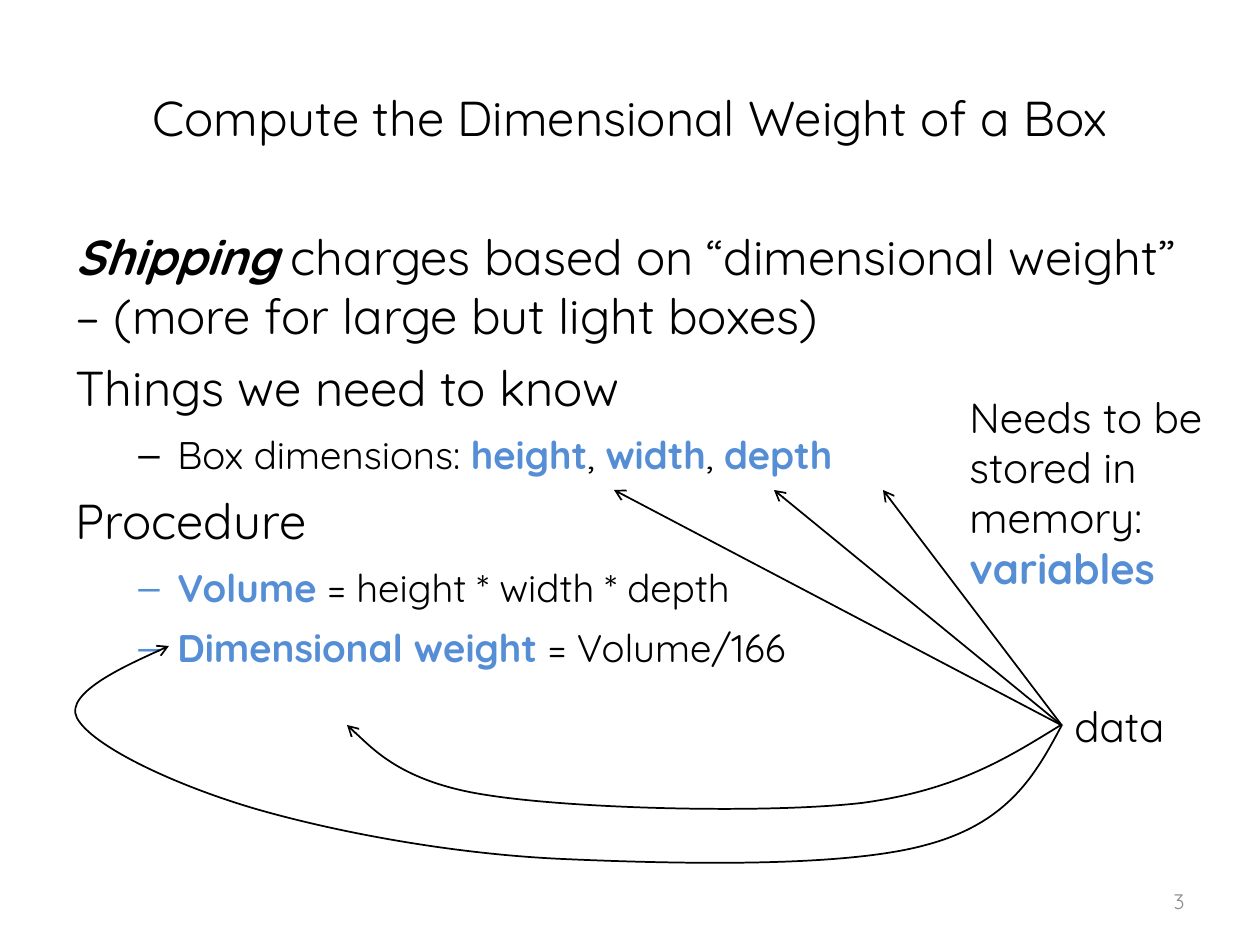
from dataclasses import dataclass

from lxml.etree import SubElement
from pptx import Presentation
from pptx.dml.color import RGBColor
from pptx.enum.shapes import MSO_CONNECTOR as Connector
from pptx.enum.text import MSO_ANCHOR as Anchor, MSO_AUTO_SIZE as AutoSize, PP_ALIGN as Align
from pptx.oxml.ns import qn
from pptx.util import Pt

EMU_PER_PX = 914400 / 126
FONT = "Quicksand"
BLACK, BLUE, GREY = "000000", "558ED5", "8C8C8C"
LEFT_SIDE = 1

Point = tuple[int, int]


@dataclass(frozen=True)
class Run:
    text: str
    color: str = BLACK
    bold: bool = False
    italic: bool = False


@dataclass(frozen=True)
class Para:
    runs: list[Run]
    size: int = 28
    dashed: bool = False
    before: int = 8


@dataclass(frozen=True)
class Curve:
    """A start point followed by cubic Bézier segments."""
    start: Point
    segments: list[tuple[Point, Point, Point]]


def term(text: str) -> Run:
    return Run(text, BLUE, bold=True)


BODY = [
    Para([Run("Shipping", bold=True, italic=True),
          Run(" charges based on “dimensional weight” – (more for large but light boxes)")],
         before=0),
    Para([Run("Things we need to know")]),
    Para([Run("Box dimensions: "), term("height"), Run(", "), term("width"),
          Run(", "), term("depth")], size=22, dashed=True),
    Para([Run("Procedure")]),
    Para([term("Volume "), Run("= height * width * depth")], size=22, dashed=True),
    Para([term("Dimensional weight "), Run("= Volume/166")], size=22, dashed=True),
]
MEMORY_NOTE = [Para([Run("Needs to be stored in memory: "), term("variables")], 24, before=0)]

DIMENSION_TIPS = [(883, 490), (774, 490), (614, 490)]
FORMULA_CURVES = [
    Curve((1061, 725), [
        ((1009, 757), (958, 790), (862, 803)),
        ((766, 814), (573, 809), (486, 795)),
        ((401, 782), (347, 725), (347, 725)),
    ]),
    Curve((1062, 725), [
        ((1036, 774), (1009, 823), (926, 845)),
        ((843, 868), (675, 864), (563, 859)),
        ((451, 854), (336, 832), (256, 809)),
        ((174, 785), (92, 746), (77, 718)),
        ((63, 692), (169, 646), (169, 646)),
    ]),
]


def px(length: float) -> int:
    return round(length * EMU_PER_PX)


def rgb(color: str) -> RGBColor:
    return RGBColor.from_string(color)


def add_dash_bullet(paragraph) -> None:
    props = paragraph._p.get_or_add_pPr()
    props.set("marL", str(px(102)))
    props.set("indent", str(px(-39)))
    SubElement(props, qn("a:buFont"), typeface="Arial")
    SubElement(props, qn("a:buChar"), char="–")


def add_text(shapes, box: tuple[int, int, int, int], paras: list[Para], *,
             align=Align.LEFT, anchor=Anchor.TOP, wrap: bool = True, grow: bool = False):
    shape = shapes.add_textbox(*map(px, box))
    frame = shape.text_frame
    frame.word_wrap = wrap
    frame.vertical_anchor = anchor
    frame.auto_size = AutoSize.SHAPE_TO_FIT_TEXT if grow else AutoSize.NONE
    for index, para in enumerate(paras):
        paragraph = frame.add_paragraph() if index else frame.paragraphs[0]
        paragraph.alignment = align
        paragraph.space_before = Pt(para.before)
        if para.dashed:
            add_dash_bullet(paragraph)
        for part in para.runs:
            run = paragraph.add_run()
            run.text = part.text
            font = run.font
            font.name, font.size = FONT, Pt(para.size)
            font.bold, font.italic = part.bold, part.italic
            font.color.rgb = rgb(part.color)
    return shape


def style_arrow(shape) -> None:
    """Thin black line with an open arrowhead at its end."""
    shape.line.color.rgb = rgb(BLACK)
    shape.line.width = Pt(1)
    SubElement(shape.line._get_or_add_ln(), qn("a:tailEnd"), type="arrow")


def add_arrow(shapes, source, tip: Point) -> None:
    arrow = shapes.add_connector(
        Connector.STRAIGHT, source.left, source.top, px(tip[0]), px(tip[1]))
    arrow.begin_connect(source, LEFT_SIDE)
    style_arrow(arrow)
    SubElement(arrow._element.spPr, qn("a:effectLst"))


def add_curve(shapes, curve: Curve) -> None:
    """Join the anchor points, then bend each straight piece into a Bézier segment."""
    builder = shapes.build_freeform(*map(px, curve.start))
    builder.add_line_segments([(px(x), px(y)) for *_, (x, y) in curve.segments], close=False)
    outline = builder.convert_to_shape()
    straight_pieces = list(outline._element.iter(qn("a:lnTo")))
    for piece, segment in zip(straight_pieces, curve.segments):
        bend = SubElement(piece.getparent(), qn("a:cubicBezTo"))
        for x, y in segment:
            SubElement(bend, qn("a:pt"), x=str(px(x) - outline.left), y=str(px(y) - outline.top))
        piece.getparent().replace(piece, bend)
    outline.fill.background()
    outline.shadow.inherit = False
    style_arrow(outline)


def main() -> None:
    deck = Presentation()
    deck.slide_width, deck.slide_height = px(1260), px(945)
    shapes = deck.slides.add_slide(deck.slide_layouts[6]).shapes

    add_text(shapes, (63, 38, 1134, 158),
             [Para([Run("Compute the Dimensional Weight of a Box")], before=0)],
             align=Align.CENTER, anchor=Anchor.MIDDLE)
    add_text(shapes, (63, 220, 1126, 624), BODY)
    add_text(shapes, (903, 876, 294, 50), [Para([Run("3", GREY)], 12, before=0)],
             align=Align.RIGHT, anchor=Anchor.MIDDLE)
    add_text(shapes, (957, 385, 291, 217), MEMORY_NOTE, grow=True)

    data_links = shapes.add_group_shape().shapes
    data_label = add_text(data_links, (1062, 694, 127, 63),
                          [Para([Run("data")], 24, before=0)], wrap=False, grow=True)
    for tip in DIMENSION_TIPS:
        add_arrow(data_links, data_label, tip)
    for curve in FORMULA_CURVES:
        add_curve(data_links, curve)

    deck.save("out.pptx")


if __name__ == "__main__":
    main()
